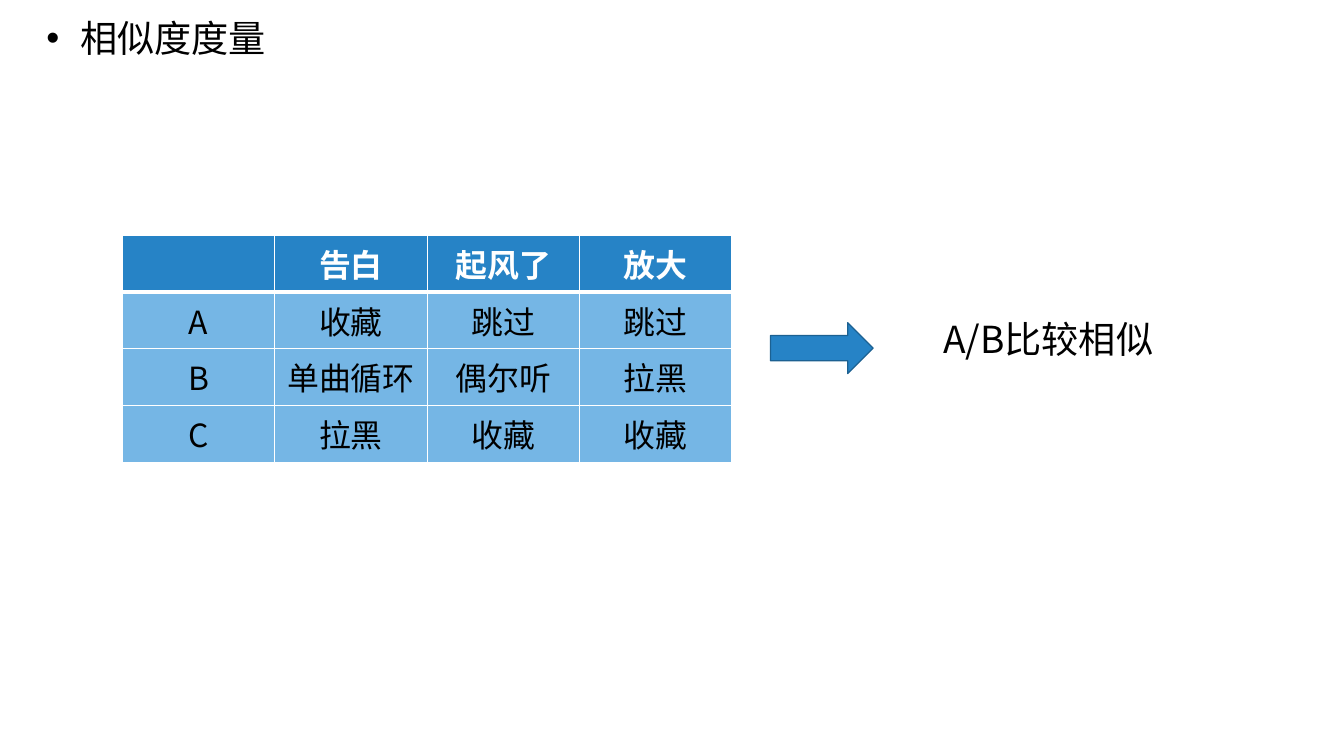
"""Builds a slide that compares listeners by how they treat three songs."""
from dataclasses import dataclass

from lxml import etree
from pptx import Presentation
from pptx.dml.color import RGBColor
from pptx.enum.shapes import MSO_SHAPE
from pptx.enum.text import MSO_ANCHOR, PP_ALIGN
from pptx.oxml.ns import qn
from pptx.util import Pt

PX = 9525
RIGHT_ARROW = MSO_SHAPE.RIGHT_ARROW
TOP, MIDDLE = MSO_ANCHOR.TOP, MSO_ANCHOR.MIDDLE
LEFT, CENTER = PP_ALIGN.LEFT, PP_ALIGN.CENTER


@dataclass(frozen=True)
class Theme:
    """Colours, font and type sizes."""
    font: str = "Noto Sans CJK SC"
    text: str = "000000"
    white: str = "FFFFFF"
    accent: str = "2683C6"
    accent_line: str = "1C6192"
    accent_light: str = "75B6E5"
    body_size: int = 28
    table_size: int = 24


def px(*values):
    """Turn px lengths into EMU."""
    return [value * PX for value in values]


def rgb(value):
    """Turn a hex string into a colour."""
    return RGBColor.from_string(value)


def write(tf, text, *, font, size, color, bold=False, align=LEFT, spacing=1.0):
    """Write one formatted paragraph and return it."""
    p = tf.paragraphs[0]
    p.alignment, p.line_spacing, p.space_before = align, spacing, Pt(0)
    r = p.add_run()
    r.text = text
    r.font.name, r.font.size, r.font.bold = font, Pt(size), bold
    r.font.color.rgb = rgb(color)
    ea = etree.SubElement(r.font._element, qn("a:ea"))
    ea.set("typeface", font)
    return p


class SlideBuilder:
    """Holds the theme and the current slide."""

    def __init__(self, prs, theme):
        """Add a slide that keeps only the body placeholder."""
        self.theme = theme
        self.slide = prs.slides.add_slide(prs.slide_layouts[1])
        title = self.slide.shapes.title._element
        title.getparent().remove(title)

    def bullet(self, text, x, y, w, h, margin, hang):
        """Fill the body placeholder with one bulleted line."""
        t = self.theme
        sp = self.slide.placeholders[1]
        sp.left, sp.top, sp.width, sp.height = px(x, y, w, h)
        tf = sp.text_frame
        tf.vertical_anchor, tf.margin_top, tf.margin_bottom = TOP, 0, 0
        p = write(tf, text, font=t.font, size=t.body_size, color=t.text, spacing=0.9)
        pPr = p._p.get_or_add_pPr()
        pPr.set("marL", str(margin * PX))
        pPr.set("indent", str(-hang * PX))
        etree.SubElement(pPr, qn("a:buFont")).set("typeface", "Arial")
        etree.SubElement(pPr, qn("a:buChar")).set("char", "•")

    def text(self, text, x, y, w, h):
        """Add a wrapping text box."""
        t = self.theme
        tf = self.slide.shapes.add_textbox(*px(x, y, w, h)).text_frame
        tf.word_wrap = True
        write(tf, text, font=t.font, size=t.body_size, color=t.text, spacing=0.9)

    def arrow(self, x, y, w, h):
        """Add a right block arrow."""
        sp = self.slide.shapes.add_shape(RIGHT_ARROW, *px(x, y, w, h))
        sp.shadow.inherit = False
        sp.fill.solid()
        sp.fill.fore_color.rgb = rgb(self.theme.accent)
        sp.line.color.rgb = rgb(self.theme.accent_line)
        sp.line.width = Pt(1)

    def borders(self, cell, **widths):
        """Draw white cell borders with the given widths in points."""
        tcPr = cell._tc.get_or_add_tcPr()
        for i, (side, width) in enumerate(widths.items()):
            ln = etree.Element(qn(f"a:{side}"), w=str(Pt(width)))
            fill = etree.SubElement(ln, qn("a:solidFill"))
            etree.SubElement(fill, qn("a:srgbClr"), val=self.theme.white)
            tcPr.insert(i, ln)

    def table(self, rows, x, y, col_w, row_h):
        """Add a table with a header row and equal cells."""
        t = self.theme
        n_rows, n_cols = len(rows), len(rows[0])
        size = px(x, y, col_w * n_cols, row_h * n_rows)
        table = self.slide.shapes.add_table(n_rows, n_cols, *size).table
        for col in table.columns:
            col.width = col_w * PX
        for i, values in enumerate(rows):
            header = i == 0
            table.rows[i].height = row_h * PX
            for cell, value in zip(table.rows[i].cells, values):
                cell.fill.solid()
                cell.fill.fore_color.rgb = rgb(t.accent if header else t.accent_light)
                cell.vertical_anchor = MIDDLE
                self.borders(cell, lnL=1, lnR=1, lnT=3 if i == 1 else 1,
                             lnB=3 if header else 1)
                if value:
                    write(cell.text_frame, value, font=t.font, size=t.table_size,
                          color=t.white if header else t.text, bold=header, align=CENTER)


def main():
    """Build and save the slide."""
    prs = Presentation()
    prs.slide_width, prs.slide_height = px(1350, 759)
    s = SlideBuilder(prs, Theme())
    s.bullet("相似度度量", x=25, y=20, w=333, h=42, margin=46, hang=34)
    s.table([
        ["", "告白", "起风了", "放大"],
        ["A", "收藏", "跳过", "跳过"],
        ["B", "单曲循环", "偶尔听", "拉黑"],
        ["C", "拉黑", "收藏", "收藏"],
    ], x=123, y=236, col_w=153, row_h=57)
    s.arrow(x=774, y=324, w=103, h=51)
    s.text("A/B比较相似", x=938, y=318, w=230, h=55)
    prs.save("out.pptx")


if __name__ == "__main__":
    main()
